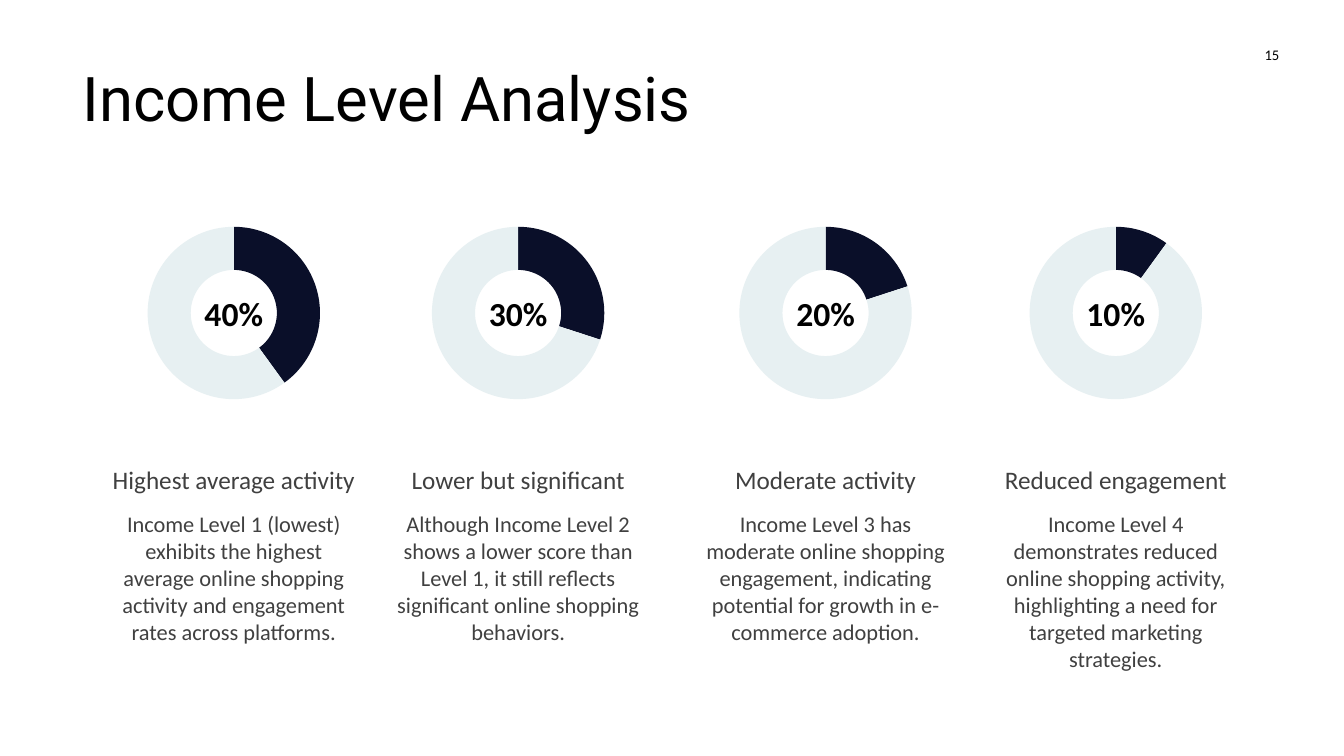
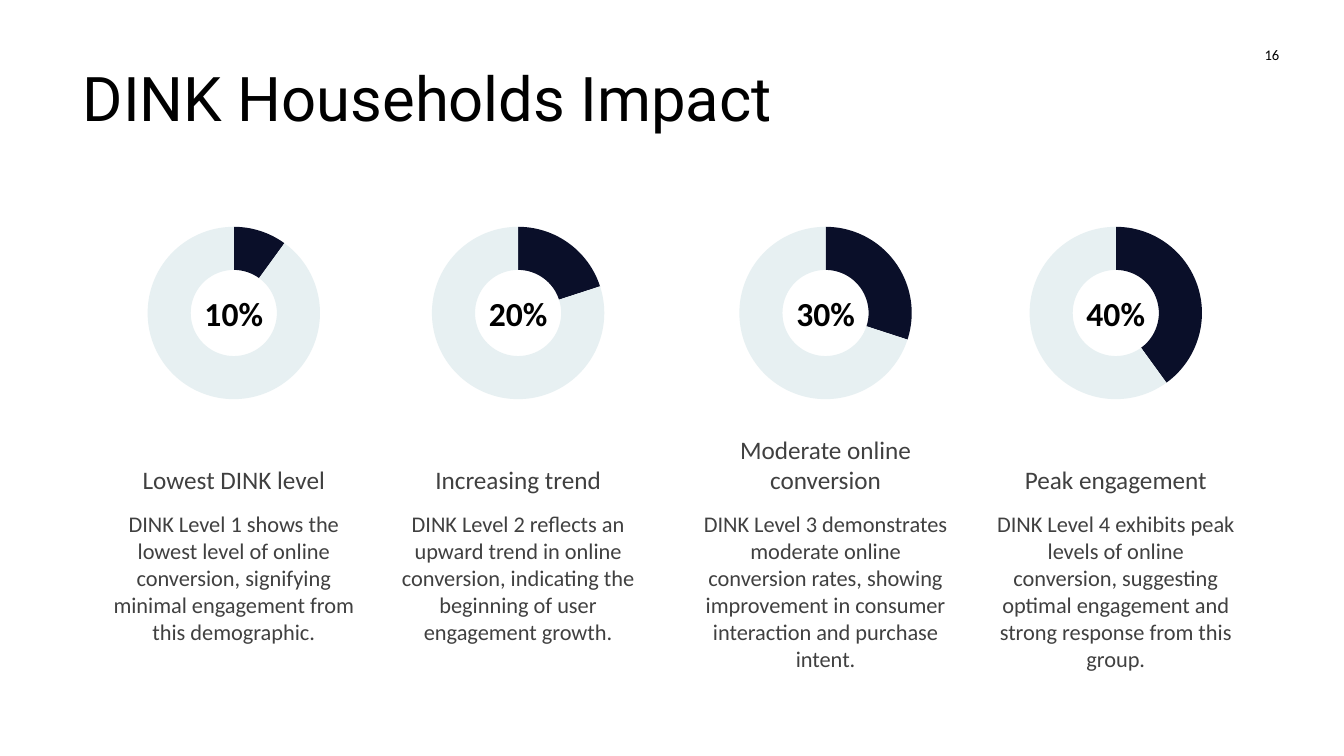
"""Build two slides of four ring charts, each with a heading and a note."""
from lxml import etree
from pptx import Presentation
from pptx.chart.data import CategoryChartData
from pptx.dml.color import RGBColor
from pptx.enum.chart import XL_CHART_TYPE
from pptx.enum.text import MSO_ANCHOR, PP_ALIGN
from pptx.oxml import parse_xml
from pptx.oxml.ns import nsdecls, qn
from pptx.util import Pt

RING = XL_CHART_TYPE.DOUGHNUT
LEFT, MID = PP_ALIGN.LEFT, PP_ALIGN.CENTER
TOP, CENTER, BOTTOM = MSO_ANCHOR.TOP, MSO_ANCHOR.MIDDLE, MSO_ANCHOR.BOTTOM

COLORS = {"ink": "000000", "note": "404040", "part": "0A0F29",
          "rest": "E7F0F2", "edge": "F9F9F9", "page": "FFFFFF"}
BODY, HEAD = "Calibri", "Roboto"
WIDE, HIGH = 960, 540
LEFTS = (72.7, 275.8, 495.4, 702.7)
COL_TOP, COL_WIDE = 152, 188.6
RING_SIZE, INSET = 143.2, 0.07

SLIDES = [
    (15, "Income Level Analysis", [
        (40, "Highest average activity",
         "Income Level 1 (lowest) exhibits the highest average online "
         "shopping activity and engagement rates across platforms."),
        (30, "Lower but significant",
         "Although Income Level 2 shows a lower score than Level 1, it still "
         "reflects significant online shopping behaviors."),
        (20, "Moderate activity",
         "Income Level 3 has moderate online shopping engagement, indicating "
         "potential for growth in e-commerce adoption."),
        (10, "Reduced engagement",
         "Income Level 4 demonstrates reduced online shopping activity, "
         "highlighting a need for targeted marketing strategies."),
    ]),
    (16, "DINK Households Impact", [
        (10, "Lowest DINK level",
         "DINK Level 1 shows the lowest level of online conversion, "
         "signifying minimal engagement from this demographic."),
        (20, "Increasing trend",
         "DINK Level 2 reflects an upward trend in online conversion, "
         "indicating the beginning of user engagement growth."),
        (30, "Moderate online conversion",
         "DINK Level 3 demonstrates moderate online conversion rates, showing "
         "improvement in consumer interaction and purchase intent."),
        (40, "Peak engagement",
         "DINK Level 4 exhibits peak levels of online conversion, suggesting "
         "optimal engagement and strong response from this group."),
    ]),
]


def color(name):
    """Return the named colour."""
    return RGBColor.from_string(COLORS[name])


def write(slide, text, box, size, face=BODY, tone="ink", bold=False,
          align=MID, anchor=TOP):
    """Add a text box with one styled paragraph."""
    frame = slide.shapes.add_textbox(*map(Pt, box)).text_frame
    frame.word_wrap = True
    frame.vertical_anchor = anchor
    para = frame.paragraphs[0]
    para.alignment = align
    run = para.add_run()
    run.text = text
    font = run.font
    font.name, font.size, font.bold = face, Pt(size), bold
    font.color.rgb = color(tone)


def fit(plot):
    """Set the hole size and an even inset around the ring."""
    ring = plot._element
    ring.find(qn("c:holeSize")).set("val", "90")
    area = ring.getparent()
    for old in area.findall(qn("c:layout")):
        area.remove(old)
    layout = parse_xml(f"<c:layout {nsdecls('c')}/>")
    manual = etree.SubElement(layout, qn("c:manualLayout"))
    span = round(1 - 2 * INSET, 2)
    for tag, value in (("layoutTarget", "inner"), ("xMode", "edge"),
                       ("yMode", "edge"), ("x", INSET), ("y", INSET),
                       ("w", span), ("h", span)):
        etree.SubElement(manual, qn(f"c:{tag}")).set("val", str(value))
    area.insert(0, layout)


def ring(slide, share, box):
    """Add a ring chart that shows one share of a hundred."""
    data = CategoryChartData()
    data.categories = ["1", "2"]
    data.add_series("Series 1", (share, 100 - share))
    chart = slide.shapes.add_chart(RING, *map(Pt, box), data).chart
    chart.has_legend = chart.has_title = False
    chart.font.name, chart.font.size = BODY, Pt(10)
    chart.font.color.rgb = color("ink")
    plot = chart.plots[0]
    plot.vary_by_categories = True
    series = plot.series[0]
    series.format.line.color.rgb = color("edge")
    series.format.line.width = Pt(0.75)
    for index, tone in enumerate(("part", "rest")):
        fill = series.points[index].format.fill
        fill.solid()
        fill.fore_color.rgb = color(tone)
    fit(plot)


def column(slide, item, left, top, width):
    """Place a ring, its share, a heading and a note in one column."""
    share, title, note = item
    mid = left + width / 2
    ring(slide, share, (mid - RING_SIZE / 2, top, RING_SIZE, RING_SIZE))
    write(slide, f"{share}%", (mid - 36, top + RING_SIZE / 2 - 18, 72, 36),
          24, bold=True, anchor=CENTER)
    write(slide, title, (left, top + 146.5, width, 58.3), 18, tone="note",
          anchor=BOTTOM)
    write(slide, note, (left, top + 209, width, 103.7), 16, tone="note")


def page(deck, number, title, items):
    """Add a slide with its number, title and columns."""
    slide = deck.slides.add_slide(deck.slide_layouts[6])
    fill = slide.background.fill
    fill.solid()
    fill.fore_color.rgb = color("page")
    write(slide, str(number), (894.2, 25.2, 28.8, 28), 10.5, anchor=CENTER)
    write(slide, title, (52, 39, 822, 104), 44, face=HEAD, align=LEFT)
    for left, item in zip(LEFTS, items):
        column(slide, item, left, COL_TOP, COL_WIDE)


def main():
    """Build and save the deck."""
    deck = Presentation()
    deck.slide_width, deck.slide_height = Pt(WIDE), Pt(HIGH)
    for entry in SLIDES:
        page(deck, *entry)
    deck.save("out.pptx")


if __name__ == "__main__":
    main()
